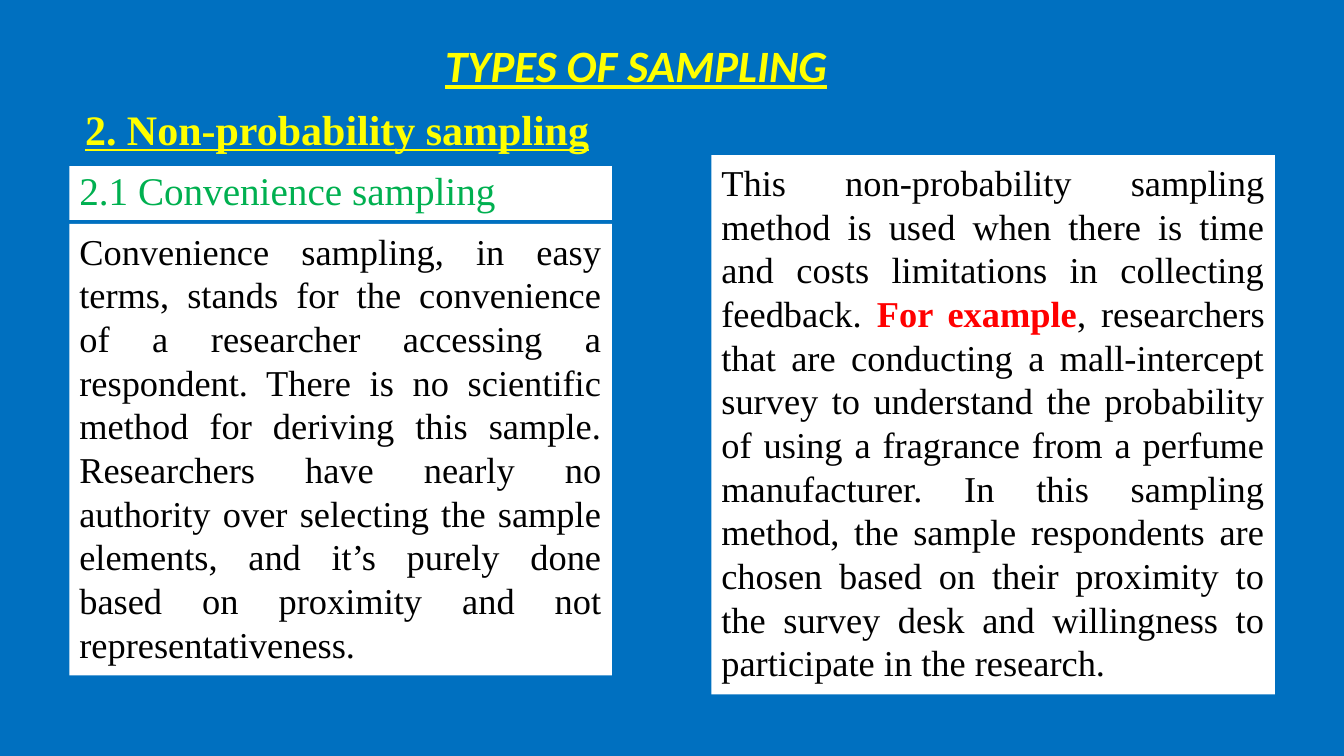
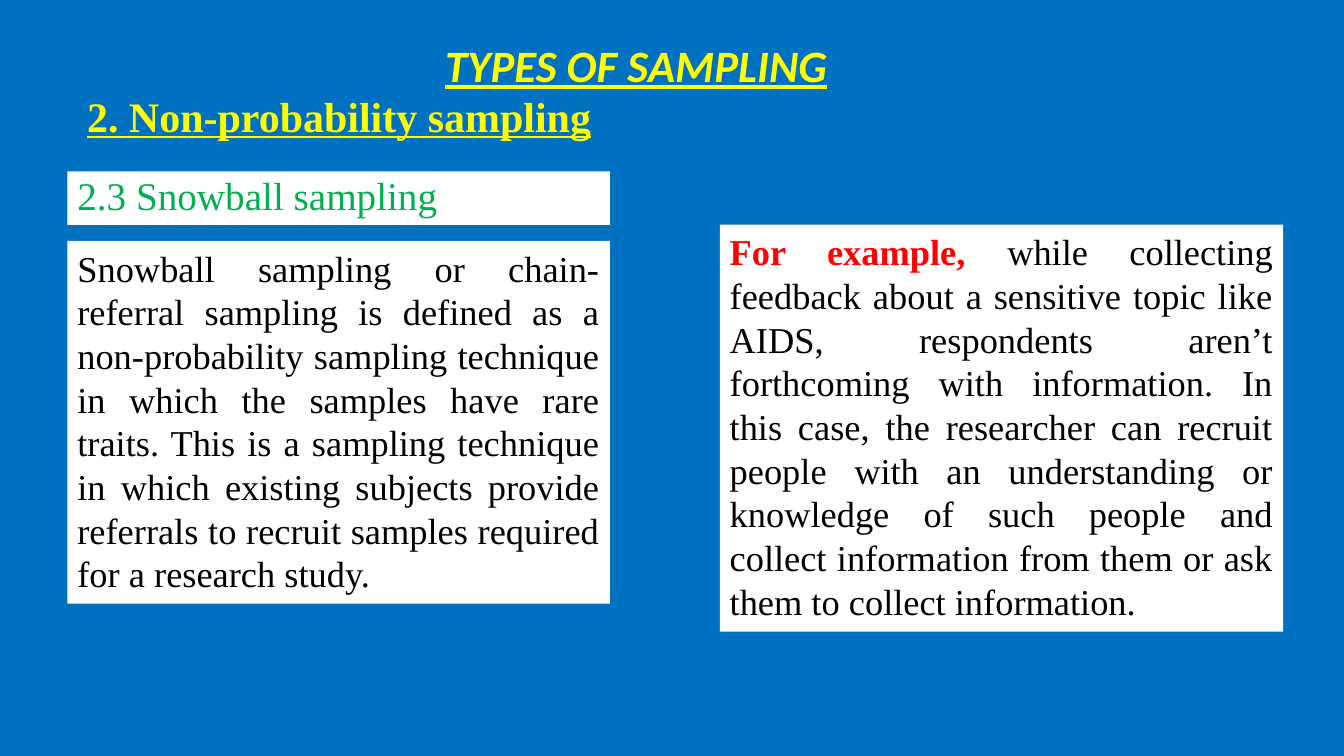
from pptx import Presentation
from pptx.dml.color import RGBColor
from pptx.enum.text import MSO_ANCHOR, MSO_AUTO_SIZE, PP_ALIGN
from pptx.util import Cm, Pt

BLUE = RGBColor(0x00, 0x70, 0xC0)
YELLOW = RGBColor(0xFF, 0xFF, 0x00)
GREEN = RGBColor(0x00, 0xB0, 0x50)
WHITE = RGBColor(0xFF, 0xFF, 0xFF)
BLACK = RGBColor(0x00, 0x00, 0x00)
RED = RGBColor(0xFF, 0x00, 0x00)
SANS = "Calibri"
SERIF = "Times New Roman"
BAR = 1.35
TOPIC = "2. Non-probability sampling"

SLIDES = [
    {
        "topic": (1.4, 2.62, 14.2, 1.42),
        "left": (1.75, 4.19, 13.67, 12.83),
        "gap": 0.1,
        "label": "2.1 Convenience sampling",
        "body": "Convenience sampling, in easy terms, stands for the convenience "
                "of a researcher accessing a respondent. There is no scientific "
                "method for deriving this sample. Researchers have nearly no "
                "authority over selecting the sample elements, and it’s purely "
                "done based on proximity and not representativeness.",
        "right": (17.93, 3.91, 14.2, 13.59),
        "parts": [
            ("This non-probability sampling method is used when there is time "
             "and costs limitations in collecting feedback. ", False),
            ("For example", True),
            (", researchers that are conducting a mall-intercept survey to "
             "understand the probability of using a fragrance from a perfume "
             "manufacturer. In this sampling method, the sample respondents are "
             "chosen based on their proximity to the survey desk and willingness "
             "to participate in the research.", False),
        ],
    },
    {
        "topic": (1.45, 2.29, 14.2, 1.42),
        "left": (1.7, 4.32, 13.67, 10.89),
        "gap": 0.4,
        "label": "2.3 Snowball sampling",
        "body": "Snowball sampling or chain-referral sampling is defined as a "
                "non-probability sampling technique in which the samples have "
                "rare traits. This is a sampling technique in which existing "
                "subjects provide referrals to recruit samples required for a "
                "research study.",
        "right": (18.14, 5.66, 14.2, 10.26),
        "parts": [
            ("For example, ", True),
            ("while collecting feedback about a sensitive topic like AIDS, "
             "respondents aren’t forthcoming with information. In this case, the "
             "researcher can recruit people with an understanding or knowledge "
             "of such people and collect information from them or ask them to "
             "collect information.", False),
        ],
    },
]


def style(run, size, color, face=SERIF, bold=False, italic=False, under=False):
    font = run.font
    font.name = face
    font.size = Pt(size)
    font.color.rgb = color
    font.bold = bold
    font.italic = italic
    font.underline = under


def set_frame(shape, align, anchor, space=1.0):
    frame = shape.text_frame
    frame.word_wrap = True
    frame.auto_size = MSO_AUTO_SIZE.SHAPE_TO_FIT_TEXT
    frame.vertical_anchor = anchor
    para = frame.paragraphs[0]
    para.alignment = align
    para.line_spacing = space
    return para


def add_box(slide, box, fill=None):
    shape = slide.shapes.add_textbox(*map(Cm, box))
    if fill is not None:
        shape.fill.solid()
        shape.fill.fore_color.rgb = fill
    return shape


def add_title(slide, box):
    title = slide.shapes.title
    title.left, title.top, title.width, title.height = map(Cm, box)
    para = set_frame(title, PP_ALIGN.CENTER, MSO_ANCHOR.MIDDLE, 0.9)
    para.text = "TYPES OF SAMPLING"
    style(para.runs[0], 32, YELLOW, SANS, bold=True, italic=True, under=True)


def add_topic(slide, box):
    para = set_frame(add_box(slide, box), PP_ALIGN.CENTER, MSO_ANCHOR.MIDDLE, 0.9)
    para.text = TOPIC
    style(para.runs[0], 30, YELLOW, bold=True, under=True)


def add_label(slide, box, text):
    para = set_frame(add_box(slide, box, WHITE), PP_ALIGN.LEFT, MSO_ANCHOR.MIDDLE, 0.9)
    para.text = text
    style(para.runs[0], 28, GREEN)


def add_panel(slide, box, parts):
    para = set_frame(add_box(slide, box, WHITE), PP_ALIGN.JUSTIFY, MSO_ANCHOR.TOP)
    for text, key in parts:
        run = para.add_run()
        run.text = text
        style(run, 26, RED if key else BLACK, bold=key)


def add_left(slide, box, gap, label, body):
    x, y, width, height = box
    drop = BAR + gap
    add_label(slide, (x, y, width, BAR), label)
    add_panel(slide, (x, y + drop, width, height - drop), [(body, False)])


def add_slide(deck, data):
    slide = deck.slides.add_slide(deck.slide_layouts[5])
    add_title(slide, (8.53, 0.97, 15.01, 1.5))
    add_left(slide, data["left"], data["gap"], data["label"], data["body"])
    add_panel(slide, data["right"], data["parts"])
    add_topic(slide, data["topic"])


def main():
    deck = Presentation()
    deck.slide_width = Cm(33.87)
    deck.slide_height = Cm(19.05)
    fill = deck.slide_master.background.fill
    fill.solid()
    fill.fore_color.rgb = BLUE
    for data in SLIDES:
        add_slide(deck, data)
    deck.save("out.pptx")


if __name__ == "__main__":
    main()
